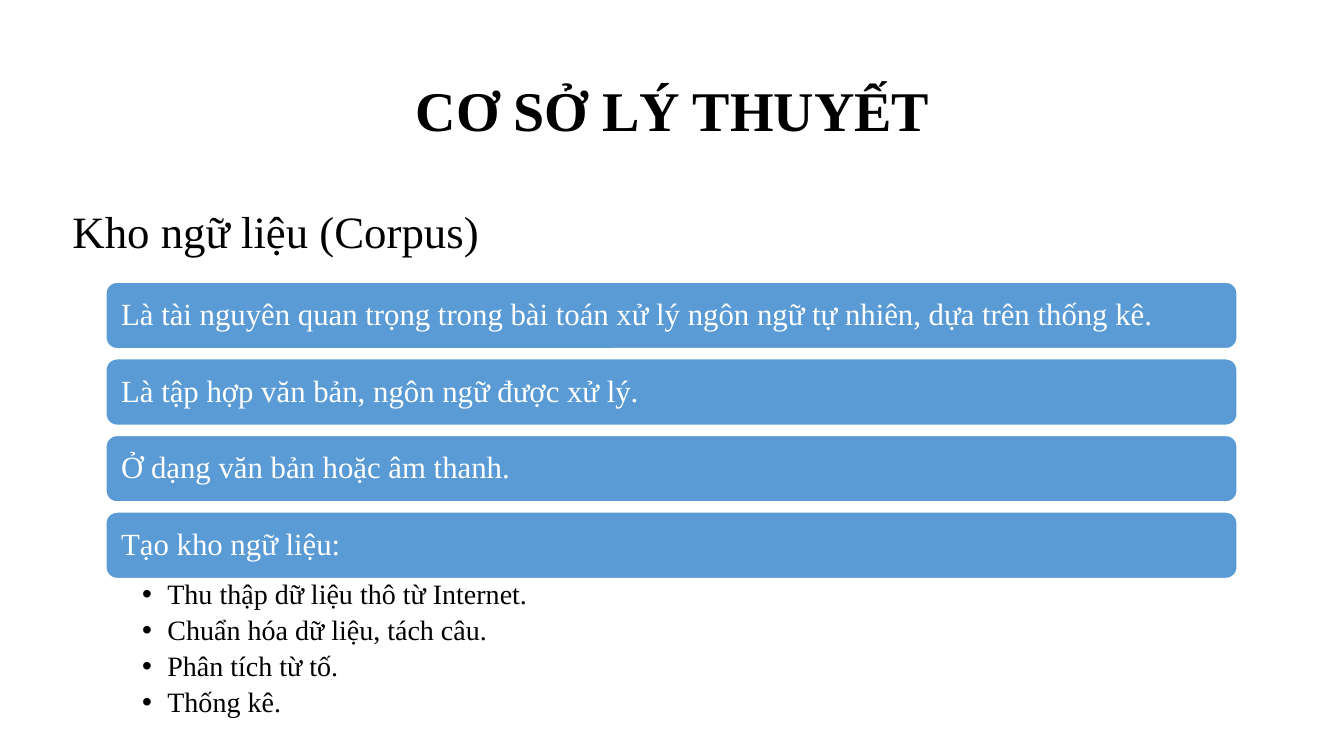
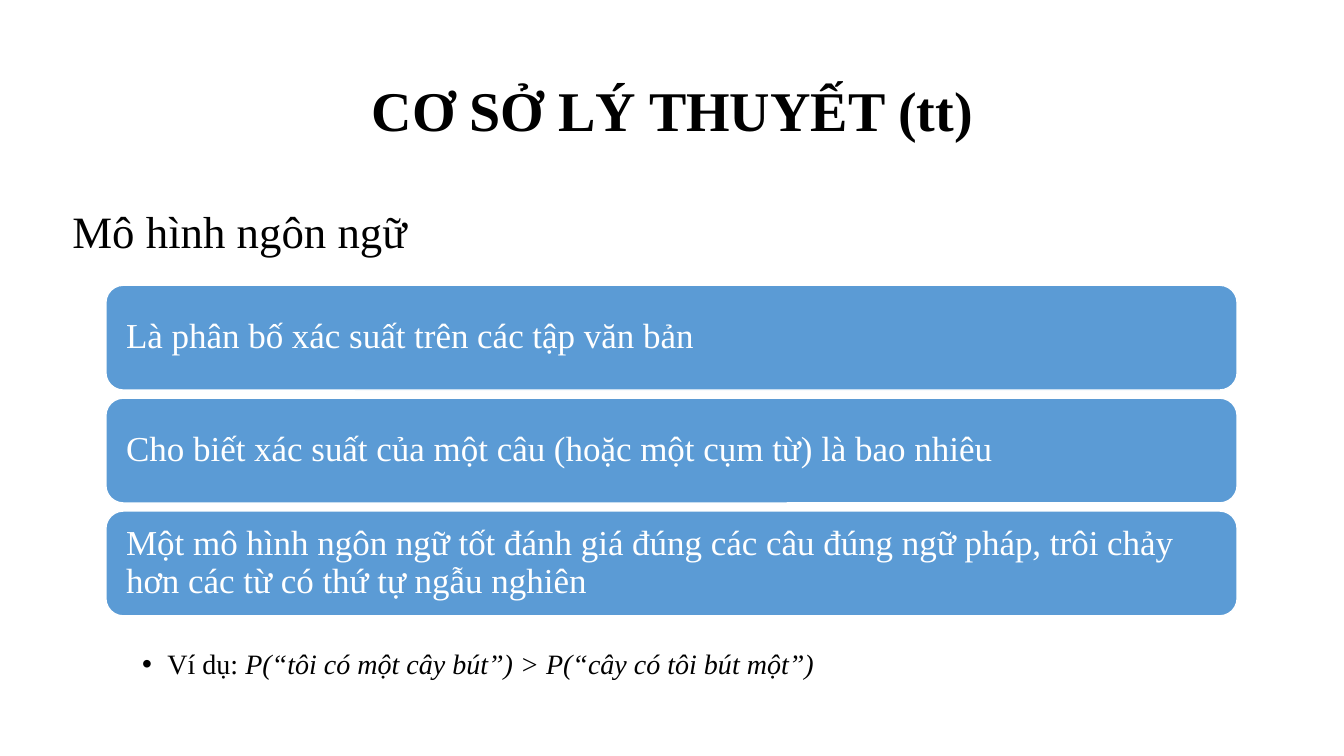
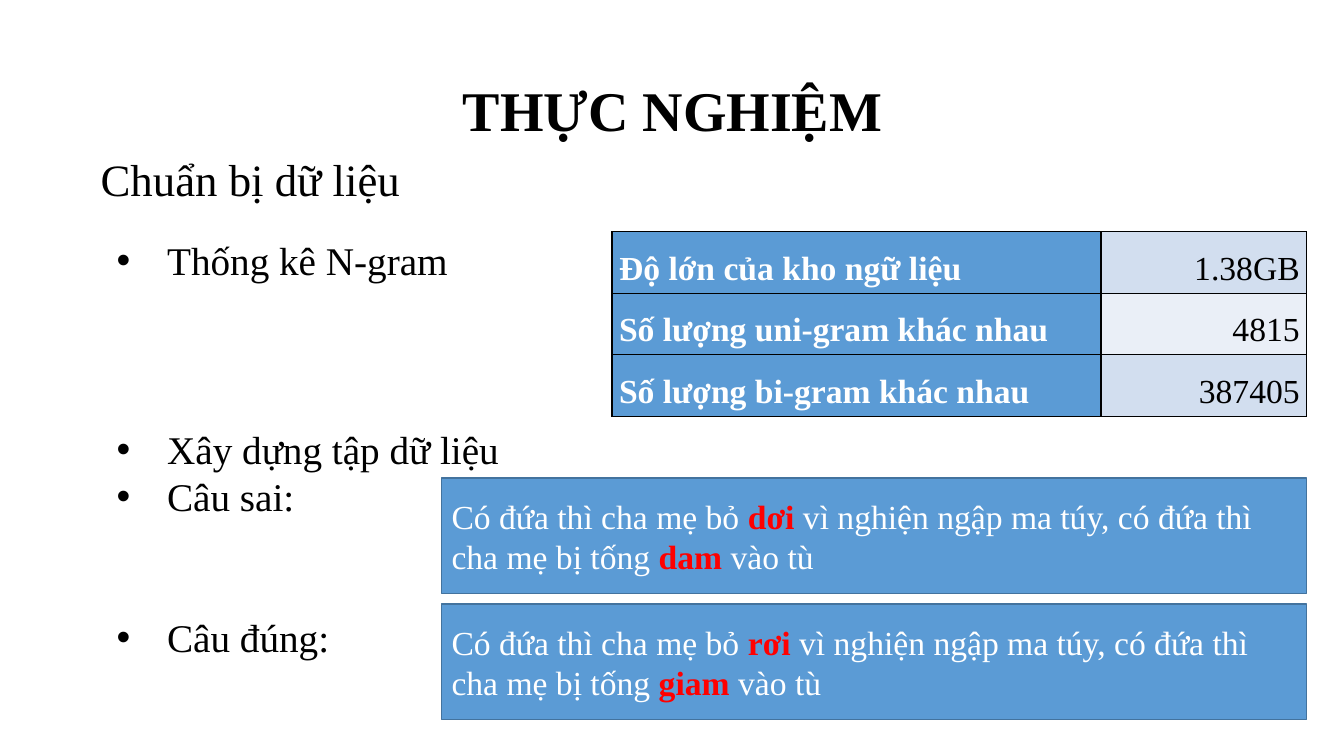
from lxml.etree import SubElement
from pptx import Presentation
from pptx.dml.color import RGBColor
from pptx.enum.shapes import MSO_SHAPE
from pptx.enum.text import MSO_ANCHOR, PP_ALIGN
from pptx.oxml.ns import qn
from pptx.util import Inches, Pt

FONT = "Times New Roman"
BLACK = RGBColor(0x00, 0x00, 0x00)
WHITE = RGBColor(0xFF, 0xFF, 0xFF)
RED = RGBColor(0xFF, 0x00, 0x00)
BLUE = RGBColor(0x5B, 0x9B, 0xD5)
DARK_BLUE = RGBColor(0x43, 0x73, 0x9E)
BAND_COLORS = (RGBColor(0xD2, 0xDE, 0xEF), RGBColor(0xEA, 0xEF, 0xF7))

BANNER_LEFT, BANNER_WIDTH = 1.05, 11.22
BLANK_LINE = 33.6


def add_bullet(paragraph, indent):
    properties = paragraph._p.get_or_add_pPr()
    properties.set("marL", str(Inches(indent)))
    properties.set("indent", str(-Inches(indent)))
    SubElement(properties, qn("a:buFont"), typeface="Arial")
    SubElement(properties, qn("a:buChar"), char="•")


def add_borders(cell):
    properties = cell._tc.get_or_add_tcPr()
    for side in ("lnL", "lnR", "lnT", "lnB"):
        line = SubElement(properties, qn(f"a:{side}"), w=str(Pt(1)))
        fill = SubElement(line, qn("a:solidFill"))
        SubElement(fill, qn("a:srgbClr"), val=str(BLACK))


def write(frame, paragraphs, size, color=BLACK, bold=False, align=PP_ALIGN.LEFT,
          anchor=MSO_ANCHOR.TOP, spacing=None, after=0, gaps=(), bullet=None,
          insets=(0.1, 0.05, 0.1, 0.05)):
    """Fill a frame; a paragraph is a string or a list of (text, format) runs."""
    frame.word_wrap = True
    frame.vertical_anchor = anchor
    (frame.margin_left, frame.margin_top,
     frame.margin_right, frame.margin_bottom) = map(Inches, insets)
    for index, runs in enumerate(paragraphs):
        paragraph = frame.add_paragraph() if index else frame.paragraphs[0]
        paragraph.alignment = align
        paragraph.space_after = Pt(after)
        if spacing:
            paragraph.line_spacing = spacing
        if index < len(gaps):
            paragraph.space_before = Pt(gaps[index])
        if bullet:
            add_bullet(paragraph, bullet)
        if isinstance(runs, str):
            runs = [(runs, {})]
        for text, style in runs:
            run = paragraph.add_run()
            run.text = text
            run.font.name = FONT
            run.font.size = Pt(size)
            run.font.bold = style.get("bold", bold)
            run.font.italic = style.get("italic", False)
            run.font.color.rgb = style.get("color", color)


class Deck:
    def __init__(self):
        self.presentation = Presentation()
        self.presentation.slide_width = Inches(13.33)
        self.presentation.slide_height = Inches(7.5)
        self.slide = None

    def add_slide(self, title):
        layout = self.presentation.slide_layouts[6]
        self.slide = self.presentation.slides.add_slide(layout)
        self.text((0.92, 0.4, 11.5, 1.45), [title], size=40, bold=True, spacing=0.9,
                  align=PP_ALIGN.CENTER, anchor=MSO_ANCHOR.MIDDLE)

    def text(self, box, paragraphs, **style):
        shape = self.slide.shapes.add_textbox(*map(Inches, box))
        write(shape.text_frame, paragraphs, **style)

    def heading(self, text, left=0.62, top=2.03):
        self.text((left, top, 11.33, 0.66), [text], size=32, spacing=0.9)

    def panel(self, kind, box, line_color, paragraphs, **style):
        shape = self.slide.shapes.add_shape(kind, *map(Inches, box))
        shape.shadow.inherit = False
        shape.fill.solid()
        shape.fill.fore_color.rgb = BLUE
        shape.line.color.rgb = line_color
        shape.line.width = Pt(1)
        write(shape.text_frame, paragraphs, color=WHITE, anchor=MSO_ANCHOR.MIDDLE, **style)

    def banners(self, texts, top, height, pitch, size, inset):
        for index, text in enumerate(texts):
            box = (BANNER_LEFT, top + index * pitch, BANNER_WIDTH, height)
            self.panel(MSO_SHAPE.ROUNDED_RECTANGLE, box, WHITE, [text], size=size,
                       spacing=0.9, insets=(inset, 0.05, inset, 0.05))

    def details(self, paragraphs, top, height, inset_top=0.03):
        self.text((BANNER_LEFT, top, BANNER_WIDTH, height), paragraphs, size=20,
                  spacing=0.9, after=4, bullet=0.25,
                  insets=(0.36, inset_top, 0.16, 0.03))

    def sentence(self, top, first_word, second_word):
        marked = {"color": RED, "bold": True}
        runs = [("Có đứa thì cha mẹ bỏ ", {}), (first_word + " ", marked),
                ("vì nghiện ngập ma túy, có đứa thì cha mẹ bị tống ", {}),
                (second_word + " ", marked), ("vào tù", {})]
        self.panel(MSO_SHAPE.RECTANGLE, (4.38, top, 8.58, 1.15), DARK_BLUE, [runs], size=24)

    def table(self, left, top, widths, row_height, rows):
        height = row_height * len(rows)
        box = map(Inches, (left, top, sum(widths), height))
        table = self.slide.shapes.add_table(len(rows), len(widths), *box).table
        for column, width in zip(table.columns, widths):
            column.width = Inches(width)
        for row_index, (label, value) in enumerate(rows):
            band = BAND_COLORS[row_index % 2]
            styles = ((label, BLUE, WHITE, True, PP_ALIGN.JUSTIFY),
                      (value, band, BLACK, False, PP_ALIGN.RIGHT))
            for column_index, (text, fill, color, bold, align) in enumerate(styles):
                cell = table.cell(row_index, column_index)
                add_borders(cell)
                cell.fill.solid()
                cell.fill.fore_color.rgb = fill
                write(cell.text_frame, [text], size=24, color=color, bold=bold,
                      align=align, spacing=1.5)
                cell.margin_left = cell.margin_right = Inches(0.07)
                cell.margin_top = cell.margin_bottom = 0


def add_corpus_slide(deck):
    deck.add_slide("CƠ SỞ LÝ THUYẾT")
    deck.heading("Kho ngữ liệu (Corpus)")
    deck.banners([
        "Là tài nguyên quan trọng trong bài toán xử lý ngôn ngữ tự nhiên, dựa trên thống kê.",
        "Là tập hợp văn bản, ngôn ngữ được xử lý.",
        "Ở dạng văn bản hoặc âm thanh.",
        "Tạo kho ngữ liệu:",
    ], top=2.8, height=0.66, pitch=0.76, size=22, inset=0.12)
    deck.details([
        "Thu thập dữ liệu thô từ Internet.",
        "Chuẩn hóa dữ liệu, tách câu.",
        "Phân tích từ tố.",
        "Thống kê.",
    ], top=5.73, height=1.41)


def add_language_model_slide(deck):
    deck.add_slide("CƠ SỞ LÝ THUYẾT (tt)")
    deck.heading("Mô hình ngôn ngữ")
    deck.banners([
        "Là phân bố xác suất trên các tập văn bản",
        "Cho biết xác suất của một câu (hoặc một cụm từ) là bao nhiêu",
        "Một mô hình ngôn ngữ tốt đánh giá đúng các câu đúng ngữ pháp, trôi chảy "
        "hơn các từ có thứ tự ngẫu nghiên",
    ], top=2.83, height=1.04, pitch=1.12, size=25, inset=0.15)
    example = [("Ví dụ: ", {}),
               ("P(“tôi có một cây bút”) > P(“cây có tôi bút một”)", {"italic": True})]
    deck.details([example], top=6.11, height=0.72, inset_top=0.42)


def add_experiment_slide(deck):
    deck.add_slide("THỰC NGHIỆM")
    deck.heading("Chuẩn bị dữ liệu", left=0.9, top=1.52)
    deck.text((1.06, 2.3, 4.9, 4.34),
              ["Thống kê N-gram", "Xây dựng tập dữ liệu", "Câu sai:", "Câu đúng:"],
              size=28, bullet=0.5, gaps=(0, 3 * BLANK_LINE, 0, 2 * BLANK_LINE))
    deck.table(6.07, 2.3, (4.85, 2.04), 0.61, [
        ("Độ lớn của kho ngữ liệu", "1.38GB"),
        ("Số lượng uni-gram khác nhau", "4815"),
        ("Số lượng bi-gram khác nhau", "387405"),
    ])
    deck.sentence(4.74, "dơi", "dam")
    deck.sentence(5.99, "rơi", "giam")


def main():
    deck = Deck()
    add_corpus_slide(deck)
    add_language_model_slide(deck)
    add_experiment_slide(deck)
    deck.presentation.save("out.pptx")


if __name__ == "__main__":
    main()
